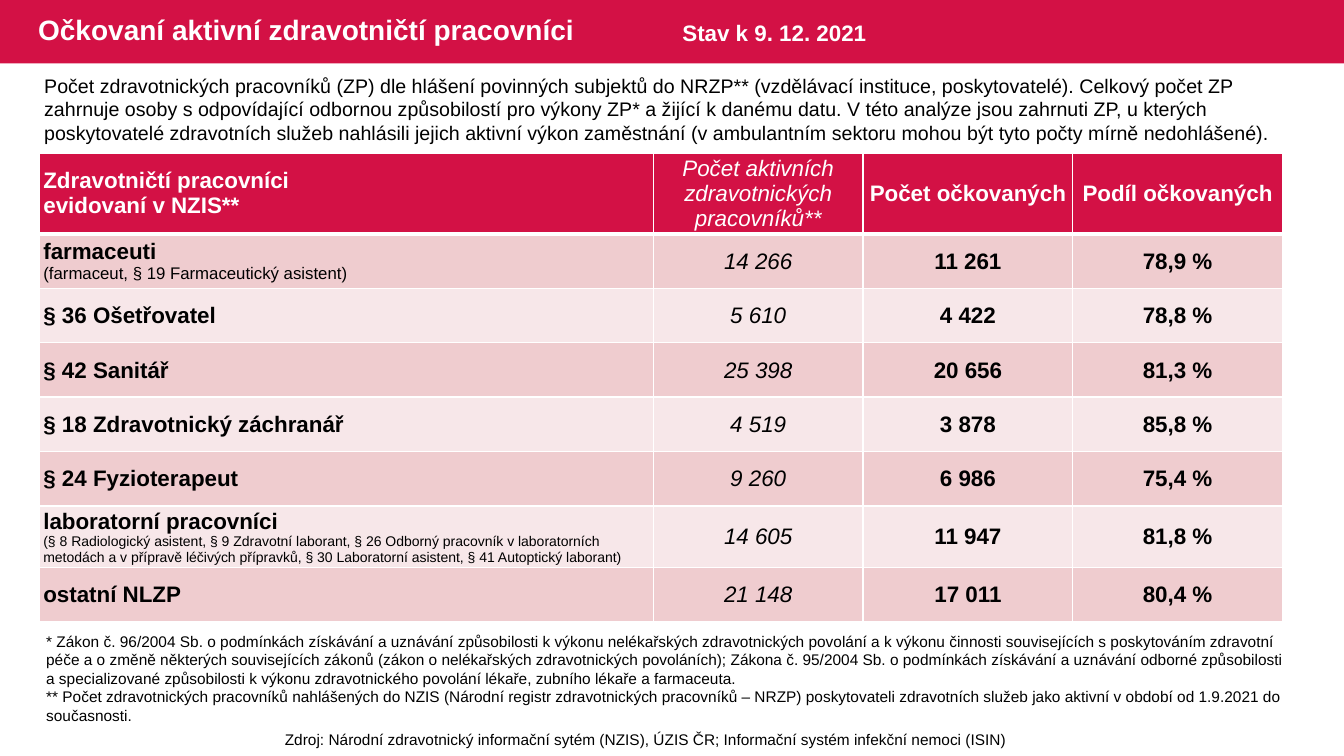
from dataclasses import dataclass
from typing import Any

from lxml.etree import SubElement
from pptx import Presentation
from pptx.dml.color import RGBColor
from pptx.enum.shapes import MSO_SHAPE
from pptx.enum.text import MSO_ANCHOR, PP_ALIGN
from pptx.oxml.ns import qn
from pptx.util import Inches, Pt


@dataclass(frozen=True)
class Theme:
    font: str = "Arial"
    red: str = "D31145"
    rose: str = "EFCCCF"
    pale: str = "F7E7E9"
    white: str = "FFFFFF"
    black: str = "000000"
    title: int = 20
    head: int = 16
    intro: int = 14
    note: int = 11


@dataclass(frozen=True)
class Line:
    text: str
    size: int
    color: str
    bold: bool = False
    slant: bool = False
    align: PP_ALIGN = PP_ALIGN.LEFT
    space: float = 1.0


@dataclass(frozen=True)
class Box:
    left: float
    top: float
    width: float
    height: float
    lines: list[Line]
    anchor: MSO_ANCHOR = MSO_ANCHOR.TOP


@dataclass(frozen=True)
class Staff:
    name: str
    active: str
    dosed: str
    share: str
    detail: str = ""
    small: int = 12
    height: float = 0.54


THEME = Theme()

BOXES = [
    Box(0.28, 0, 8.13, 0.63,
        [Line("Očkovaní aktivní zdravotničtí pracovníci", THEME.title, THEME.white,
              bold=True, space=0.9)], MSO_ANCHOR.MIDDLE),
    Box(0.36, 6.22, 12.53, 1.03, [
        Line("* Zákon č. 96/2004 Sb. o podmínkách získávání a uznávání způsobilosti k výkonu "
             "nelékařských zdravotnických povolání a k výkonu činnosti souvisejících s "
             "poskytováním zdravotní péče a o změně některých souvisejících zákonů (zákon o "
             "nelékařských zdravotnických povoláních); Zákona č. 95/2004 Sb. o podmínkách "
             "získávání a uznávání odborné způsobilosti a specializované způsobilosti k výkonu "
             "zdravotnického povolání lékaře, zubního lékaře a farmaceuta.",
             THEME.note, THEME.black),
        Line("** Počet zdravotnických pracovníků nahlášených do NZIS (Národní registr "
             "zdravotnických pracovníků – NRZP) poskytovateli zdravotních služeb jako aktivní "
             "v období od 1.9.2021 do současnosti.", THEME.note, THEME.black),
    ]),
    Box(0.34, 0.68, 12.64, 0.81, [
        Line("Počet zdravotnických pracovníků (ZP) dle hlášení povinných subjektů do NRZP** "
             "(vzdělávací instituce, poskytovatelé). Celkový počet ZP zahrnuje osoby s "
             "odpovídající odbornou způsobilostí pro výkony ZP* a žijící k danému datu. V této "
             "analýze jsou zahrnuti ZP, u kterých poskytovatelé zdravotních služeb nahlásili "
             "jejich aktivní výkon zaměstnání (v ambulantním sektoru mohou být tyto počty mírně "
             "nedohlášené).", THEME.intro, THEME.black)]),
    Box(6.67, 0.14, 2.2, 0.37,
        [Line("Stav k 9. 12. 2021", THEME.head, THEME.white, bold=True)]),
    Box(1.9, 7.19, 9.06, 0.29, [
        Line("Zdroj: Národní zdravotnický informační sytém (NZIS), ÚZIS ČR; Informační systém "
             "infekční nemoci (ISIN) ", THEME.note, THEME.black, align=PP_ALIGN.CENTER)]),
]

HEADS = [
    ["Zdravotničtí pracovníci", "evidovaní v NZIS**"],
    ["Počet aktivních zdravotnických pracovníků**"],
    ["Počet očkovaných"],
    ["Podíl očkovaných"],
]
STAFF = [
    Staff("farmaceuti", "14 266", "11 261", "78,9 %",
          "(farmaceut, § 19 Farmaceutický asistent)"),
    Staff("§ 36 Ošetřovatel", "5 610", "4 422", "78,8 %"),
    Staff("§ 42 Sanitář", "25 398", "20 656", "81,3 %"),
    Staff("§ 18 Zdravotnický záchranář", "4 519", "3 878", "85,8 %"),
    Staff("§ 24 Fyzioterapeut", "9 260", "6 986", "75,4 %"),
    Staff("laboratorní pracovníci", "14 605", "11 947", "81,8 %",
          "(§ 8 Radiologický asistent, § 9 Zdravotní laborant, § 26 Odborný pracovník v "
          "laboratorních metodách a v přípravě léčivých přípravků, § 30 Laboratorní asistent, "
          "§ 41 Autoptický laborant)", 10, 0.57),
    Staff("ostatní NLZP", "21 148", "17 011", "80,4 %"),
]
WIDTHS = [6.09, 2.08, 2.08, 2.08]
HEIGHTS = [0.75] + [staff.height for staff in STAFF]


def apply(target: Any, values: dict[str, Any]) -> None:
    for name, value in values.items():
        setattr(target, name, value)


def write(frame: Any, lines: list[Line]) -> None:
    for index, line in enumerate(lines):
        para = frame.add_paragraph() if index else frame.paragraphs[0]
        apply(para, {"alignment": line.align, "line_spacing": line.space})
        run = para.add_run()
        run.text = line.text
        apply(run.font, {"name": THEME.font, "size": Pt(line.size),
                         "bold": line.bold, "italic": line.slant})
        run.font.color.rgb = RGBColor.from_string(line.color)


def add_box(slide: Any, box: Box) -> None:
    area = map(Inches, (box.left, box.top, box.width, box.height))
    frame = slide.shapes.add_textbox(*area).text_frame
    apply(frame, {"word_wrap": True, "vertical_anchor": box.anchor})
    write(frame, box.lines)


def add_edge(cell: Any, side: str, width: float) -> None:
    props = cell._tc.get_or_add_tcPr()
    edge = SubElement(props, qn(f"a:ln{side}"), w=str(Pt(width)))
    fill = SubElement(edge, qn("a:solidFill"))
    SubElement(fill, qn("a:srgbClr"), val=THEME.white)


def fill_cell(cell: Any, row: int, col: int, lines: list[Line]) -> None:
    head = row == 0
    apply(cell, {
        "vertical_anchor": MSO_ANCHOR.MIDDLE,
        "margin_left": Inches(0.04 if head or col == 0 else 0.01),
        "margin_right": Inches(0.04 if head else 0.01),
        "margin_top": Inches(0 if head else 0.01),
        "margin_bottom": 0,
    })
    widths = {"L": 1, "R": 1, "T": 3 if row == 1 else 1, "B": 3 if head else 1}
    for side, width in widths.items():
        add_edge(cell, side, width)
    cell.fill.solid()
    shade = THEME.red if head else THEME.rose if row % 2 else THEME.pale
    cell.fill.fore_color.rgb = RGBColor.from_string(shade)
    write(cell.text_frame, lines)


def make_line(text: str, row: int, col: int) -> Line:
    return Line(text, THEME.head, THEME.black if row else THEME.white,
                bold=col != 1, slant=col == 1,
                align=PP_ALIGN.CENTER if col else PP_ALIGN.LEFT)


def add_grid(slide: Any) -> None:
    area = map(Inches, (0.39, 1.52, sum(WIDTHS), sum(HEIGHTS)))
    table = slide.shapes.add_table(len(HEIGHTS), len(WIDTHS), *area).table
    for col, width in zip(table.columns, WIDTHS):
        col.width = Inches(width)
    for row, height in zip(table.rows, HEIGHTS):
        row.height = Inches(height)
    body = [[[s.name], [s.active], [s.dosed], [s.share]] for s in STAFF]
    for row, texts in enumerate([HEADS] + body):
        for col, parts in enumerate(texts):
            lines = [make_line(part, row, col) for part in parts]
            if row and col == 0 and STAFF[row - 1].detail:
                staff = STAFF[row - 1]
                lines.append(Line(staff.detail, staff.small, THEME.black))
            fill_cell(table.cell(row, col), row, col, lines)


def add_band(slide: Any, width: int) -> None:
    band = slide.shapes.add_shape(MSO_SHAPE.RECTANGLE, 0, 0, width, Inches(0.63))
    band.shadow.inherit = False
    band.fill.solid()
    band.fill.fore_color.rgb = RGBColor.from_string(THEME.red)
    band.line.fill.background()


def main() -> None:
    deck = Presentation()
    apply(deck, {"slide_width": Inches(13.33), "slide_height": Inches(7.5)})
    slide = deck.slides.add_slide(deck.slide_layouts[6])
    add_band(slide, deck.slide_width)
    for box in BOXES:
        add_box(slide, box)
    add_grid(slide)
    deck.save("out.pptx")


if __name__ == "__main__":
    main()
